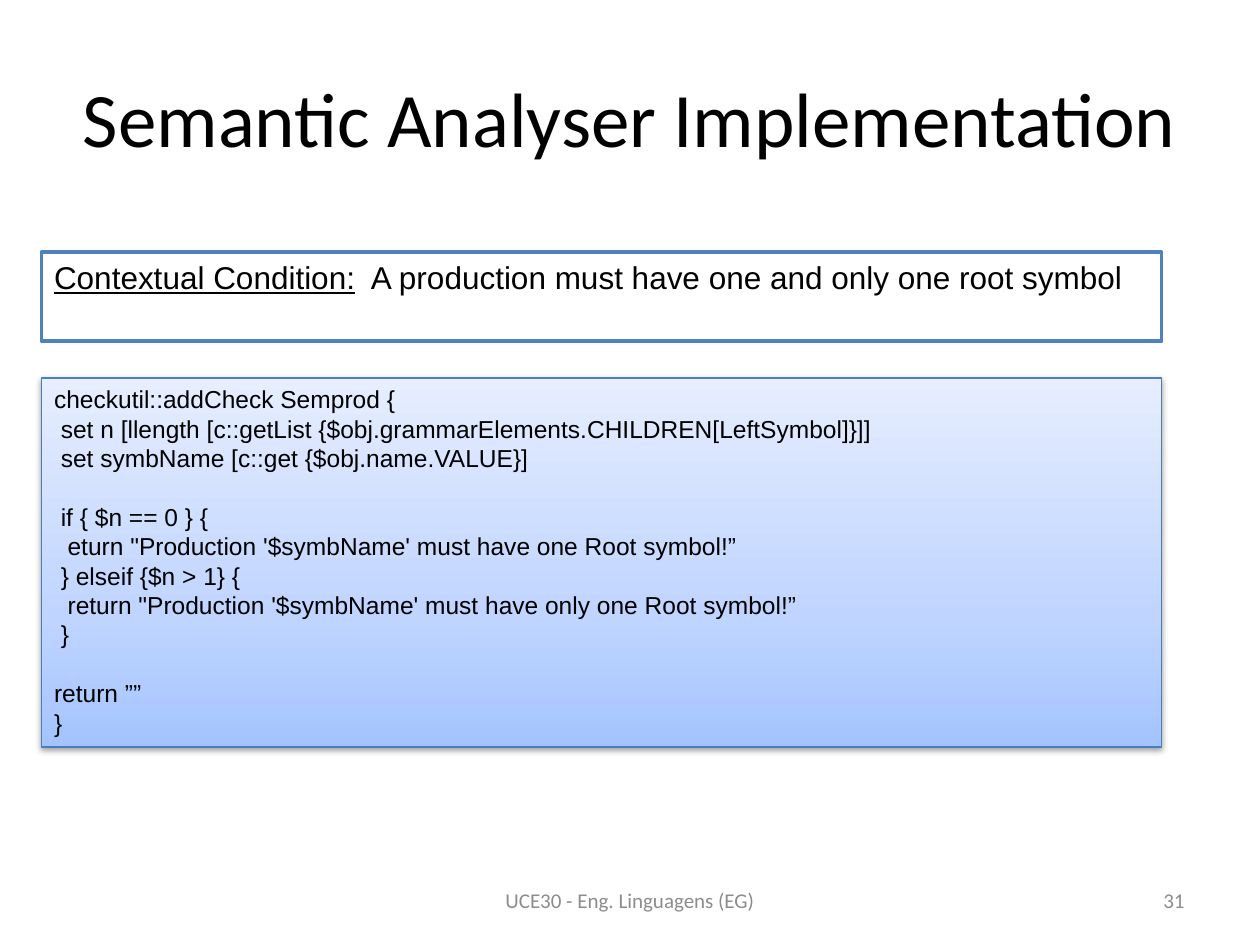
from lxml import etree
from pptx import Presentation
from pptx.dml.color import RGBColor
from pptx.enum.shapes import MSO_SHAPE
from pptx.enum.text import MSO_ANCHOR, PP_ALIGN
from pptx.oxml.ns import qn
from pptx.util import Cm, Pt

RECTANGLE = MSO_SHAPE.RECTANGLE
TOP, MIDDLE = MSO_ANCHOR.TOP, MSO_ANCHOR.MIDDLE
LEFT, CENTER, RIGHT = PP_ALIGN.LEFT, PP_ALIGN.CENTER, PP_ALIGN.RIGHT

COLOURS = {
    "text": "000000",
    "footer": "8C8C8C",
    "paper": "FFFFFF",
    "condition_line": "4F81BD",
    "code_line": "4B7EBC",
    "shadow": "000000",
}
CODE_GRADIENT = [(0, "A4C4FF"), (35, "BFD4FF"), (100, "E6EEFF")]
LINE_FACTOR = 1.2
BOX_LEFT, BOX_WIDTH = 0.84, 22.58
FOOTER_TOP, FOOTER_HEIGHT = 17.65, 1.01

CODE_BLOCKS = [
    [
        "checkutil::addCheck Semprod {",
        " set n [llength [c::getList {$obj.grammarElements.CHILDREN[LeftSymbol]}]]",
        " set symbName [c::get {$obj.name.VALUE}]",
    ],
    [
        " if { $n == 0 } {",
        "  eturn \"Production '$symbName' must have one Root symbol!”",
        " } elseif {$n > 1} {",
        "  return \"Production '$symbName' must have only one Root symbol!”",
        " }",
    ],
    ["return ””", "}"],
]


def add_span(para, text, size, font="Arial", colour="text", underline=False):
    span = para.add_run()
    span.text = text
    span.font.size = Pt(size)
    span.font.name = font
    span.font.color.rgb = RGBColor.from_string(COLOURS[colour])
    if underline:
        span.font.underline = True


def add_colour(parent, value):
    return etree.SubElement(parent, qn("a:srgbClr"), val=value)


class SlideBuilder:
    def __init__(self, page):
        self.page = page

    def label(self, text, left, top, width, height, align=CENTER, **style):
        box = self.page.shapes.add_textbox(Cm(left), Cm(top), Cm(width), Cm(height))
        frame = box.text_frame
        frame.word_wrap = True
        frame.vertical_anchor = MIDDLE
        para = frame.paragraphs[0]
        para.alignment = align
        add_span(para, text, font="Calibri", **style)

    def panel(self, top, height, line, line_width):
        box = self.page.shapes.add_shape(
            RECTANGLE, Cm(BOX_LEFT), Cm(top), Cm(BOX_WIDTH), Cm(height))
        box.shadow.inherit = False
        box.fill.solid()
        box.fill.fore_color.rgb = RGBColor.from_string(COLOURS["paper"])
        box.line.color.rgb = RGBColor.from_string(COLOURS[line])
        box.line.width = Pt(line_width)
        box.text_frame.word_wrap = True
        box.text_frame.vertical_anchor = TOP
        return box

    def condition(self, heading, text, size=18):
        box = self.panel(5.08, 1.8, "condition_line", 2)
        para = box.text_frame.paragraphs[0]
        para.alignment = LEFT
        para.line_spacing = Pt(size * LINE_FACTOR)
        add_span(para, heading, size, underline=True)
        add_span(para, text, size)

    def code(self, blocks, size=14):
        """Write blocks of code lines with one line's height between blocks."""
        box = self.panel(7.62, 7.44, "code_line", 0.75)
        self.gradient(box, CODE_GRADIENT)
        self.drop_shadow(box)
        frame = box.text_frame
        pitch = Pt(size * LINE_FACTOR)
        for block_index, block in enumerate(blocks):
            for line_index, text in enumerate(block):
                is_first = block_index == line_index == 0
                para = frame.paragraphs[0] if is_first else frame.add_paragraph()
                para.alignment = LEFT
                para.line_spacing = pitch
                if block_index and line_index == 0:
                    para.space_before = pitch
                add_span(para, text, size)

    def gradient(self, box, stops):
        """Fill from bottom to top with (percent, colour) stops."""
        box.fill.gradient()
        box.fill.gradient_angle = 90
        stop_list = box._element.spPr.find(".//" + qn("a:gsLst"))
        for stop in list(stop_list):
            stop_list.remove(stop)
        for percent, value in stops:
            stop = etree.SubElement(stop_list, qn("a:gs"), pos=str(percent * 1000))
            add_colour(stop, value)

    def drop_shadow(self, box):
        effects = box._element.spPr.find(qn("a:effectLst"))
        shadow = etree.SubElement(
            effects, qn("a:outerShdw"), blurRad=str(Pt(3.1)), dist=str(Pt(1.6)),
            dir="5400000", rotWithShape="0")
        colour = add_colour(shadow, COLOURS["shadow"])
        etree.SubElement(colour, qn("a:alpha"), val="38000")


def main():
    deck = Presentation()
    deck.slide_width, deck.slide_height = Cm(25.4), Cm(19.05)
    builder = SlideBuilder(deck.slides.add_slide(deck.slide_layouts[6]))

    builder.label("Semantic Analyser Implementation", 1.27, 0.76, 22.86, 3.18, size=44)
    builder.condition("Contextual Condition:",
                      "  A production must have one and only one root symbol")
    builder.code(CODE_BLOCKS)
    builder.label("UCE30 - Eng. Linguagens (EG)", 8.68, FOOTER_TOP, 8.04, FOOTER_HEIGHT,
                  size=12, colour="footer")
    builder.label("31", 18.2, FOOTER_TOP, 5.93, FOOTER_HEIGHT,
                  align=RIGHT, size=12, colour="footer")
    deck.save("out.pptx")


if __name__ == "__main__":
    main()
